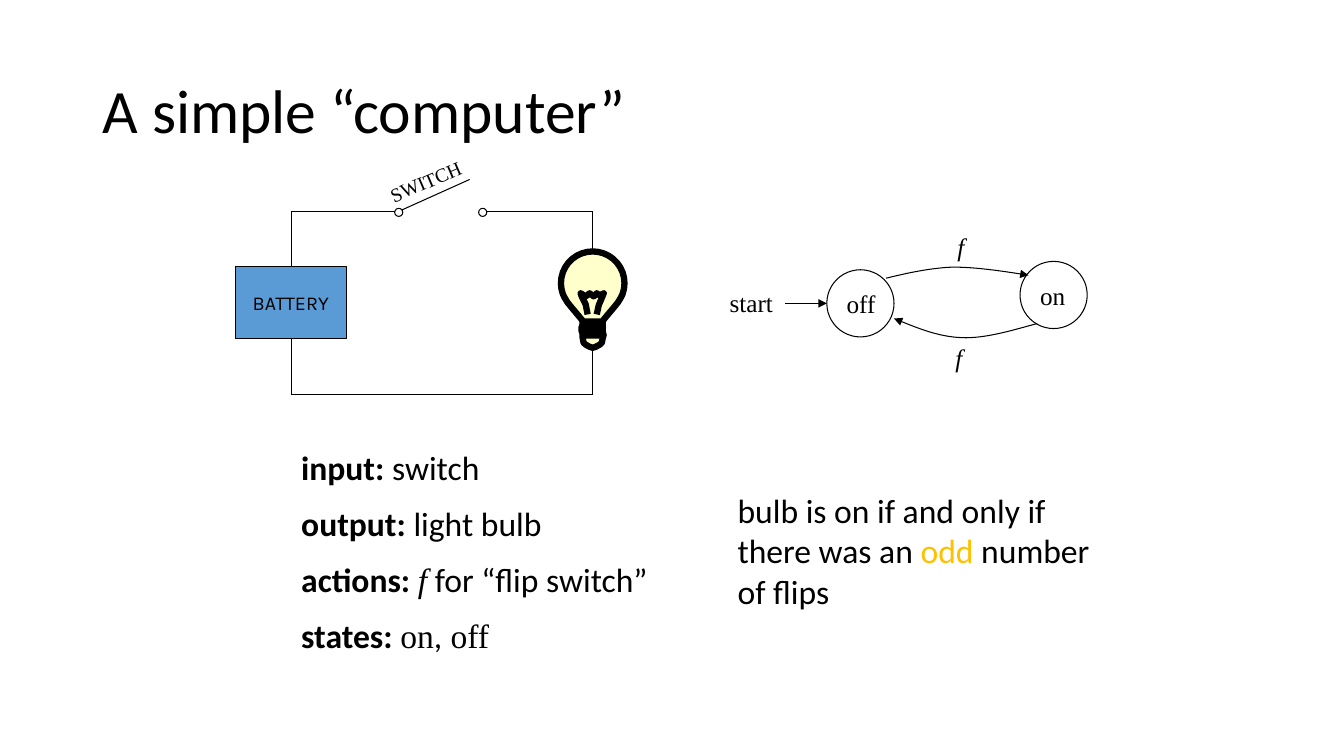
from dataclasses import dataclass
from math import cos, radians, sin

from lxml.etree import SubElement
from pptx import Presentation
from pptx.dml.color import RGBColor
from pptx.enum.shapes import MSO_CONNECTOR as Connector
from pptx.enum.shapes import MSO_SHAPE as Preset
from pptx.enum.text import MSO_ANCHOR as Anchor
from pptx.enum.text import PP_ALIGN as Align
from pptx.oxml.ns import qn
from pptx.util import Pt

BLACK = RGBColor(0x00, 0x00, 0x00)
WHITE = RGBColor(0xFF, 0xFF, 0xFF)
BLUE = RGBColor(0x5B, 0x9B, 0xD5)
CREAM = RGBColor(0xFF, 0xFF, 0xCC)
AMBER = RGBColor(0xFF, 0xC0, 0x00)
SANS, SERIF, LABEL = "Calibri", "Times New Roman", "Karla"

Point = tuple[float, float]


@dataclass
class Run:
    text: str
    font: str = SANS
    bold: bool = False
    italic: bool = False
    color: RGBColor = BLACK


@dataclass
class Label:
    text: str
    left: float
    top: float
    width: float
    height: float = 28.8
    size: float = 18
    italic: bool = False
    rotation: float = 0


@dataclass
class Circle:
    left: float
    top: float
    diameter: float
    fill: RGBColor | None = None


@dataclass
class Curve:
    controls: tuple[Point, ...]  # two cubic pieces sharing their middle point
    arrow_end: str


def write_text(shape, paragraphs: list[list[Run]], *, size: float, wrap: bool = True,
               align=Align.LEFT, anchor=Anchor.TOP, gap: float = 0,
               line_spacing: float = 1.0) -> None:
    frame = shape.text_frame
    frame.word_wrap = wrap
    frame.vertical_anchor = anchor
    for index, runs in enumerate(paragraphs):
        paragraph = frame.add_paragraph() if index else frame.paragraphs[0]
        paragraph.alignment = align
        paragraph.line_spacing = line_spacing
        paragraph.space_before = Pt(gap if index else 0)
        for item in runs:
            run = paragraph.add_run()
            run.text = item.text
            run.font.name, run.font.size = item.font, Pt(size)
            run.font.bold, run.font.italic = item.bold, item.italic
            run.font.color.rgb = item.color


def add_text(slide, box: tuple[float, ...], paragraphs: list[list[Run]], **text_format):
    shape = slide.shapes.add_textbox(*map(Pt, box))
    write_text(shape, paragraphs, **text_format)
    return shape


def style_shape(shape, fill: RGBColor | None = None, width: float = 0.75) -> None:
    shape.shadow.inherit = False
    if fill is None:
        shape.fill.background()
    else:
        shape.fill.solid()
        shape.fill.fore_color.rgb = fill
    shape.line.color.rgb = BLACK
    shape.line.width = Pt(width)


def add_preset(slide, preset, box: tuple[float, ...], fill: RGBColor | None = None):
    shape = slide.shapes.add_shape(preset, *map(Pt, box))
    style_shape(shape, fill)
    return shape


def add_arrowhead(shape, end: str) -> None:
    SubElement(shape.line._get_or_add_ln(), qn(f"a:{end}"), type="triangle")


def add_line(slide, start: Point, end: Point):
    line = slide.shapes.add_connector(Connector.STRAIGHT, *map(Pt, start + end))
    line.line.color.rgb = BLACK
    line.line.width = Pt(0.75)
    SubElement(line._element.spPr, qn("a:effectLst"))
    return line


def add_outline(slide, contours: list[list[Point]], *, close: bool = False,
                fill: RGBColor | None = None, width: float = 0.75):
    scaled = [[(Pt(x), Pt(y)) for x, y in contour] for contour in contours]
    builder = slide.shapes.build_freeform(*scaled[0][0])
    for index, contour in enumerate(scaled):
        if index:
            builder.move_to(*contour[0])
        builder.add_line_segments(contour[1:], close=close)
    shape = builder.convert_to_shape()
    style_shape(shape, fill, width)
    return shape


def cubic_points(controls: tuple[Point, ...], steps: int = 16) -> list[Point]:
    points = []
    for step in range(steps + 1):
        t = step / steps
        weights = ((1 - t) ** 3, 3 * t * (1 - t) ** 2, 3 * t * t * (1 - t), t ** 3)
        points.append(tuple(sum(w * c[axis] for w, c in zip(weights, controls))
                            for axis in (0, 1)))
    return points


# Circuit corners
LEFT, RIGHT, TOP, BOTTOM = 208.1, 423.4, 151.2, 281.5
WIRES = [
    ((LEFT, TOP), (281.8, TOP)), ((LEFT, TOP), (LEFT, 190.6)),
    ((LEFT, 241.8), (LEFT, BOTTOM)), ((LEFT, BOTTOM), (RIGHT, BOTTOM)),
    ((344.4, TOP), (RIGHT, TOP)), ((RIGHT, TOP), (RIGHT, BOTTOM)),
    ((284.4, TOP), (335.5, 128.2)),
]
CIRCLES = [
    Circle(281.9, 148.8, 5.8, WHITE), Circle(341.9, 148.8, 5.8, WHITE),
    Circle(590.6, 192.7, 48), Circle(728.6, 186.7, 48),
]

# Bulb, as offsets from the centre of its glass
BULB_Y, BULB_RADIUS = 202.3, 22.7
BULB_NECK = [(20.2, 10.1), (18, 13.7), (15.1, 17.3), (7.9, 25.9), (7.2, 27.4),
             (7.2, 38.9), (6.5, 42.5), (5, 43.9), (2.2, 45.4), (0, 46.1)]
FILAMENT = [
    [(-3.6, 22.3), (-5, 15.1), (-7.9, 9.4), (-8.6, 7.2), (-5, 9.4), (-2.2, 7.2),
     (0.7, 9.4), (2.9, 7.2), (5, 8.6), (7.9, 7.2), (4.3, 15.8), (2.9, 22.3)],
    [(-7.9, 27.4), (7.2, 27.4), (7.2, 31), (-7.9, 31), (-7.9, 34.6), (7.2, 34.6),
     (7.9, 37.4), (-7.9, 37.4)],
]

CURVES = [
    Curve(((632.9, 198.7), (648, 195.1), (663.8, 191.5), (680.4, 190.8),
           (697.7, 190.8), (716.4, 193.7), (734.7, 196.6)), "tailEnd"),
    Curve(((638.6, 227.5), (654.5, 234), (669.6, 240.5), (686.9, 241.2),
           (703.4, 241.9), (722.2, 236.2), (740.9, 231.1)), "headEnd"),
]
LABELS = [
    Label("SWITCH", 270, 117.4, 68.4, 23.8, size=14, rotation=336.7),
    Label("off", 597.6, 202.3, 35.3),
    Label("on", 735.8, 196.6, 32.4),
    Label("start", 514.1, 201.6, 45.4),
    Label("f", 676.8, 162, 18.7, italic=True),
    Label("f", 675.4, 241.2, 18.7, italic=True),
]
FACTS = [
    [Run("input:", bold=True), Run(" switch")],
    [Run("output:", bold=True), Run(" light bulb")],
    [Run("actions: ", bold=True), Run("f", SERIF, italic=True), Run(" for “flip switch”")],
    [Run("states: ", bold=True), Run("on", SERIF), Run(","), Run(" off", SERIF)],
]
CONCLUSION = [[Run("bulb is on if and only if there was an "), Run("odd", color=AMBER),
               Run(" number of flips")]]


def add_bulb(slide) -> None:
    arc = [(BULB_RADIUS * cos(radians(a)), BULB_RADIUS * sin(radians(a)))
           for a in range(-90, 21, 10)]
    half = arc + BULB_NECK
    outline = half + [(-x, y) for x, y in reversed(half[1:-1])]
    for contours, close, fill in (([outline], True, CREAM), (FILAMENT, False, None)):
        placed = [[(RIGHT + x, BULB_Y + y) for x, y in contour] for contour in contours]
        add_outline(slide, placed, close=close, fill=fill, width=4.5)


def main() -> None:
    presentation = Presentation()
    presentation.slide_width, presentation.slide_height = Pt(960), Pt(540)
    slide = presentation.slides.add_slide(presentation.slide_layouts[6])

    # Title
    add_text(slide, (66.2, 28.8, 828, 104.4), [[Run("A simple “computer”")]],
             size=44, anchor=Anchor.MIDDLE, line_spacing=0.9)

    # Circuit and state circles
    for start, end in WIRES:
        add_line(slide, start, end)
    for circle in CIRCLES:
        add_preset(slide, Preset.OVAL, (circle.left, circle.top, circle.diameter,
                                        circle.diameter), circle.fill)
    battery = add_preset(slide, Preset.RECTANGLE, (168, 190.6, 79.4, 51.2), BLUE)
    write_text(battery, [[Run("BATTERY", LABEL)]], size=14, wrap=False,
               align=Align.CENTER, anchor=Anchor.MIDDLE)
    add_bulb(slide)

    # Transitions
    for curve in CURVES:
        points = cubic_points(curve.controls[:4]) + cubic_points(curve.controls[3:])[1:]
        add_arrowhead(add_outline(slide, [points]), curve.arrow_end)
    add_arrowhead(add_line(slide, (560.9, 216.7), (590.6, 216.7)), "tailEnd")

    # Labels and explanations
    for label in LABELS:
        box = add_text(slide, (label.left, label.top, label.width, label.height),
                       [[Run(label.text, SERIF, italic=label.italic)]],
                       size=label.size, wrap=False)
        box.rotation = label.rotation
    add_text(slide, (208.1, 315.4, 283.7, 167), FACTS, size=24, gap=11.4)
    add_text(slide, (519.8, 346.3, 283.7, 94.3), CONCLUSION, size=24)

    presentation.save("out.pptx")


if __name__ == "__main__":
    main()
